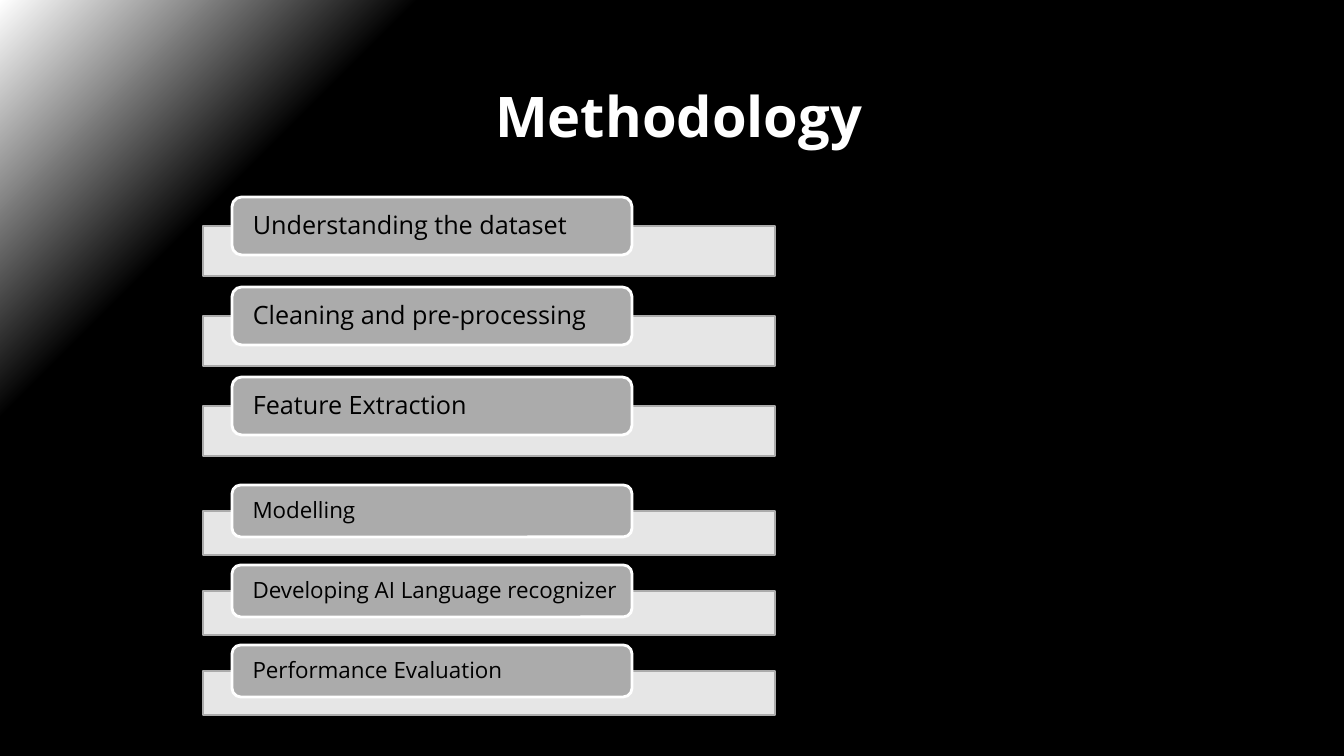
from pptx import Presentation
from pptx.dml.color import RGBColor
from pptx.enum.shapes import MSO_SHAPE
from pptx.enum.text import MSO_ANCHOR, PP_ALIGN
from pptx.oxml.ns import qn
from pptx.util import Pt
from lxml.etree import SubElement

WHITE = RGBColor(0xFF, 0xFF, 0xFF)
BLACK = RGBColor(0x00, 0x00, 0x00)
GRAY = RGBColor(0xAB, 0xAB, 0xAB)
FONT = "Open Sans"


def px(n):
    return round(n * 914400 / 100.8)


class Deck:
    def __init__(self, prs):
        self.s = prs.slides.add_slide(prs.slide_layouts[6])

    def background(self, start, end, end_at):
        fill = self.s.background.fill
        fill.gradient()
        fill.gradient_angle = 315
        for stop, color, position in zip(fill.gradient_stops, (start, end), (0, end_at)):
            stop.color.rgb = color
            stop.position = position

    def label(self, tf, text, size, color, bold=False):
        tf.word_wrap = True
        tf.text = text
        p = tf.paragraphs[0]
        font = p.runs[0].font
        font.name, font.size, font.bold = FONT, Pt(size), bold
        font.color.rgb = color
        return p

    def title(self, x, y, w, h, text):
        sp = self.s.shapes.add_textbox(px(x), px(y), px(w), px(h))
        p = self.label(sp.text_frame, text, 40, WHITE, True)
        p.alignment = PP_ALIGN.CENTER

    def shape(self, kind, x, y, w, h, fill, line):
        sp = self.s.shapes.add_shape(kind, px(x), px(y), px(w), px(h))
        sp.shadow.inherit = False
        sp.fill.solid()
        sp.fill.fore_color.rgb = fill
        sp.line.color.rgb = line
        sp.line.width = Pt(2)
        return sp

    def bar(self, x, y, w, h):
        sp = self.shape(MSO_SHAPE.RECTANGLE, x, y, w, h, WHITE, GRAY)
        color = sp.element.spPr.find(qn("a:solidFill"))[0]
        SubElement(color, qn("a:alpha")).set("val", "90000")

    def card(self, x, y, w, h, text, size):
        sp = self.shape(MSO_SHAPE.ROUNDED_RECTANGLE, x, y, w, h, GRAY, WHITE)
        tf = sp.text_frame
        tf.margin_left, tf.margin_right = px(18), px(10)
        tf.margin_top = tf.margin_bottom = 0
        tf.vertical_anchor = MSO_ANCHOR.MIDDLE
        p = self.label(tf, text, size, BLACK)
        p.alignment = PP_ALIGN.LEFT
        p.line_spacing = 0.9

    def steps(self, top, pitch, card_h, bar_h, size, names):
        for i, name in enumerate(names):
            y = top + i * pitch
            self.bar(203, y + card_h // 2, 572, bar_h)
            self.card(232, y, 400, card_h, name, size)


prs = Presentation()
prs.slide_width, prs.slide_height = px(1344), px(756)

deck = Deck(prs)
deck.background(WHITE, BLACK, 0.2)
deck.title(160, 77, 1037, 78, "Methodology")
deck.steps(197, 90, 58, 50, 18,
           ["Understanding the dataset", "Cleaning and pre-processing", "Feature Extraction"])
deck.steps(485, 80, 52, 44, 16,
           ["Modelling", "Developing AI Language recognizer", "Performance Evaluation"])

prs.save("out.pptx")
